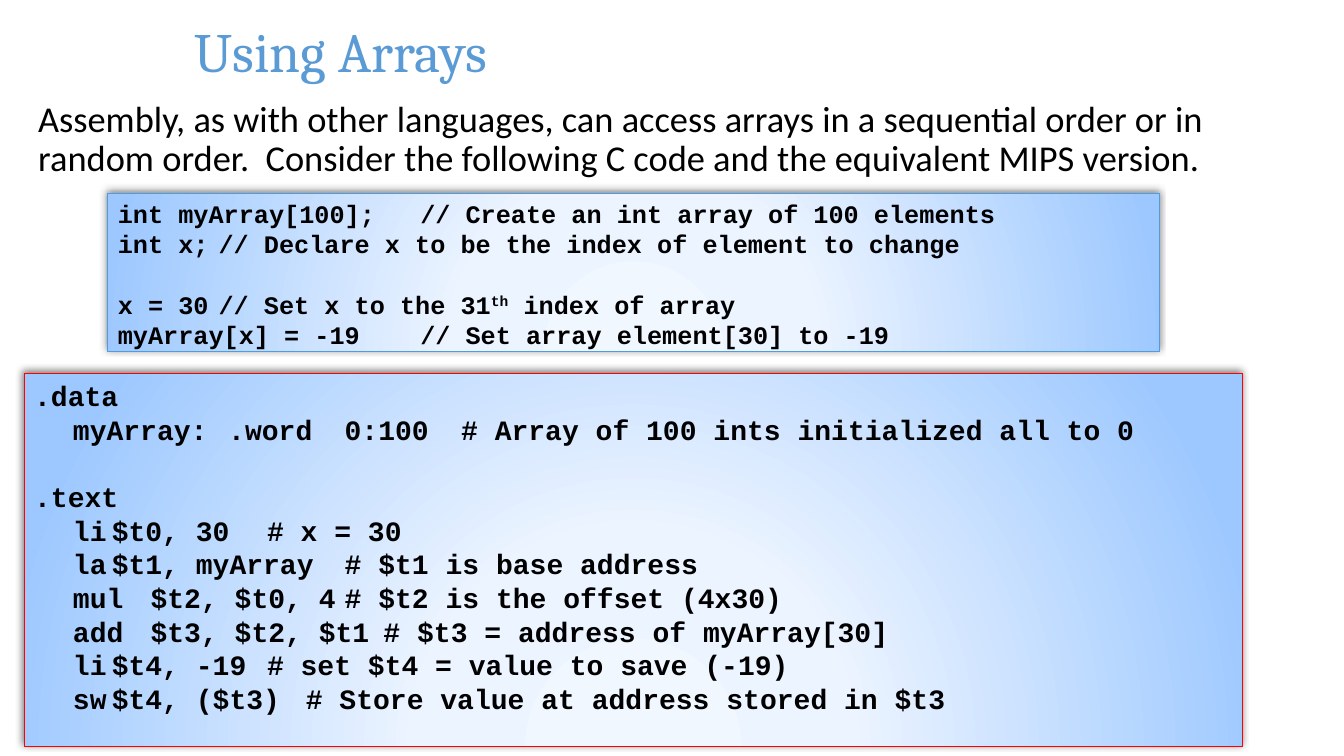
from pptx import Presentation
from pptx.dml.color import RGBColor
from pptx.enum.shapes import MSO_SHAPE
from pptx.enum.text import MSO_ANCHOR, PP_ALIGN
from pptx.oxml import parse_xml
from pptx.oxml.ns import nsdecls, qn
from pptx.util import Inches, Pt

BLACK = RGBColor(0x00, 0x00, 0x00)
TITLE_BLUE = RGBColor(0x5B, 0x9B, 0xD5)
BORDER_BLUE = RGBColor(0x4F, 0x9C, 0xE1)
BORDER_RED = RGBColor(0xFF, 0x00, 0x00)
GRADIENT_STOPS = [(0, "F1F7FF"), (34, "ECF4FF"), (100, "9DC8FF")]

TITLE = "Using Arrays"
INTRO = (
    "Assembly, as with other languages, can access arrays in a sequential order "
    "or in random order.  Consider the following C code and the equivalent MIPS version."
)
C_CODE = [
    [
        ["int myArray[100];\t// Create an int array of 100 elements"],
        ["int x;\t// Declare x to be the index of element to change"],
    ],
    [
        ["x = 30\t// Set x to the 31", "th", " index of array"],
        ["myArray[x] = -19\t// Set array element[30] to -19"],
    ],
]
MIPS_CODE = [
    [
        [".data"],
        ["\tmyArray:\t.word\t0:100\t# Array of 100 ints initialized all to 0"],
    ],
    [
        [".text"],
        ["\tli\t$t0, 30\t# x = 30"],
        ["\tla\t$t1, myArray\t# $t1 is base address"],
        ["\tmul\t$t2, $t0, 4\t# $t2 is the offset (4x30)"],
        ["\tadd\t$t3, $t2, $t1\t# $t3 = address of myArray[30]"],
        ["\tli\t$t4, -19\t# set $t4 = value to save (-19)"],
        ["\tsw\t$t4, ($t3)\t# Store value at address stored in $t3"],
    ],
]
CODE_PANELS = [
    dict(groups=C_CODE, at=(1.07, 1.92, 10.43, 1.57), border=BORDER_BLUE,
         size=18, tab_step=1.0, tab_count=3),
    dict(groups=MIPS_CODE, at=(0.24, 3.71, 12.08, 3.7), border=BORDER_RED,
         size=20, tab_step=0.385, tab_count=11),
]
LINE_FACTOR = 1.2


def add_text(para, text, size, font, color=BLACK, bold=False, raised=False):
    span = para.add_run()
    span.text = text
    span.font.size = Pt(size)
    span.font.name = font
    span.font.color.rgb = color
    span.font.bold = bold
    if raised:
        span.font._element.set("baseline", "30000")


def add_text_box(page, at, anchor):
    box = page.shapes.add_textbox(*map(Inches, at))
    box.text_frame.word_wrap = True
    box.text_frame.vertical_anchor = anchor
    return box.text_frame.paragraphs[0]


def set_tabs(para, step, count):
    properties = para._p.get_or_add_pPr()
    properties.set("defTabSz", str(Inches(step)))
    stops = "".join(
        f'<a:tab pos="{Inches(step * number)}" algn="l"/>' for number in range(1, count + 1)
    )
    properties.append(parse_xml(f'<a:tabLst {nsdecls("a")}>{stops}</a:tabLst>'))


def style_panel(panel, border):
    panel.line.color.rgb = border
    panel.line.width = Pt(0.75)
    panel.shadow.inherit = False
    stops = "".join(
        f'<a:gs pos="{percent * 1000}"><a:srgbClr val="{color}"/></a:gs>'
        for percent, color in GRADIENT_STOPS
    )
    properties = panel._element.spPr
    properties.find(qn("a:prstGeom")).addnext(parse_xml(
        f'<a:gradFill {nsdecls("a")} rotWithShape="1"><a:gsLst>{stops}</a:gsLst>'
        '<a:path path="circle"><a:fillToRect l="50000" t="155000" r="50000" b="-55000"/>'
        '</a:path></a:gradFill>'
    ))
    properties.find(qn("a:effectLst")).append(parse_xml(
        f'<a:outerShdw {nsdecls("a")} blurRad="{Pt(5)}" dist="{Pt(2)}" dir="{245 * 60000}" '
        'rotWithShape="0"><a:srgbClr val="000000"><a:alpha val="50000"/></a:srgbClr>'
        '</a:outerShdw>'
    ))


def add_code_panel(page, groups, at, border, size, tab_step, tab_count):
    panel = page.shapes.add_shape(MSO_SHAPE.RECTANGLE, *map(Inches, at))
    style_panel(panel, border)
    frame = panel.text_frame
    frame.word_wrap = True
    frame.vertical_anchor = MSO_ANCHOR.TOP
    line_height = Pt(size * LINE_FACTOR)
    para = frame.paragraphs[0]
    for group_index, lines in enumerate(groups):
        for line_index, parts in enumerate(lines):
            if group_index or line_index:
                para = frame.add_paragraph()
            set_tabs(para, tab_step, tab_count)
            para.alignment = PP_ALIGN.LEFT
            para.line_spacing = line_height
            if group_index and not line_index:
                para.space_before = line_height
            for part_index, text in enumerate(parts):
                add_text(para, text, size, "Courier New", bold=True, raised=part_index == 1)


def main():
    deck = Presentation()
    deck.slide_width, deck.slide_height = Inches(13.33), Inches(7.5)
    page = deck.slides.add_slide(deck.slide_layouts[6])
    title = add_text_box(page, (1.83, 0.16, 9.88, 0.68), MSO_ANCHOR.MIDDLE)
    add_text(title, TITLE, 39.6, "Cambria", color=TITLE_BLUE)
    intro = add_text_box(page, (0.28, 0.95, 12.32, 1.27), MSO_ANCHOR.TOP)
    intro.line_spacing = 0.9
    add_text(intro, INTRO, 26, "Calibri")
    for panel in CODE_PANELS:
        add_code_panel(page, **panel)
    deck.save("out.pptx")


if __name__ == "__main__":
    main()
